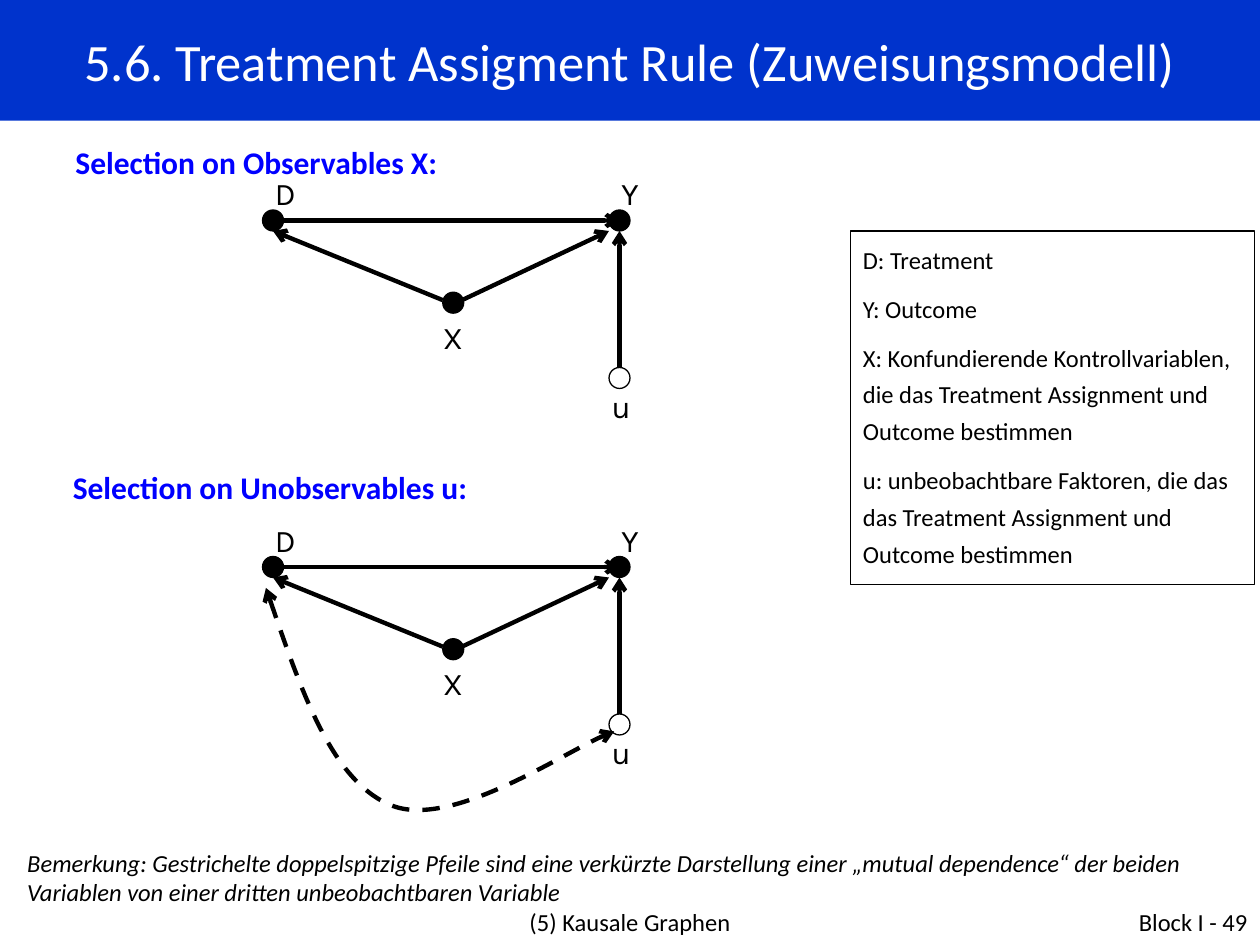
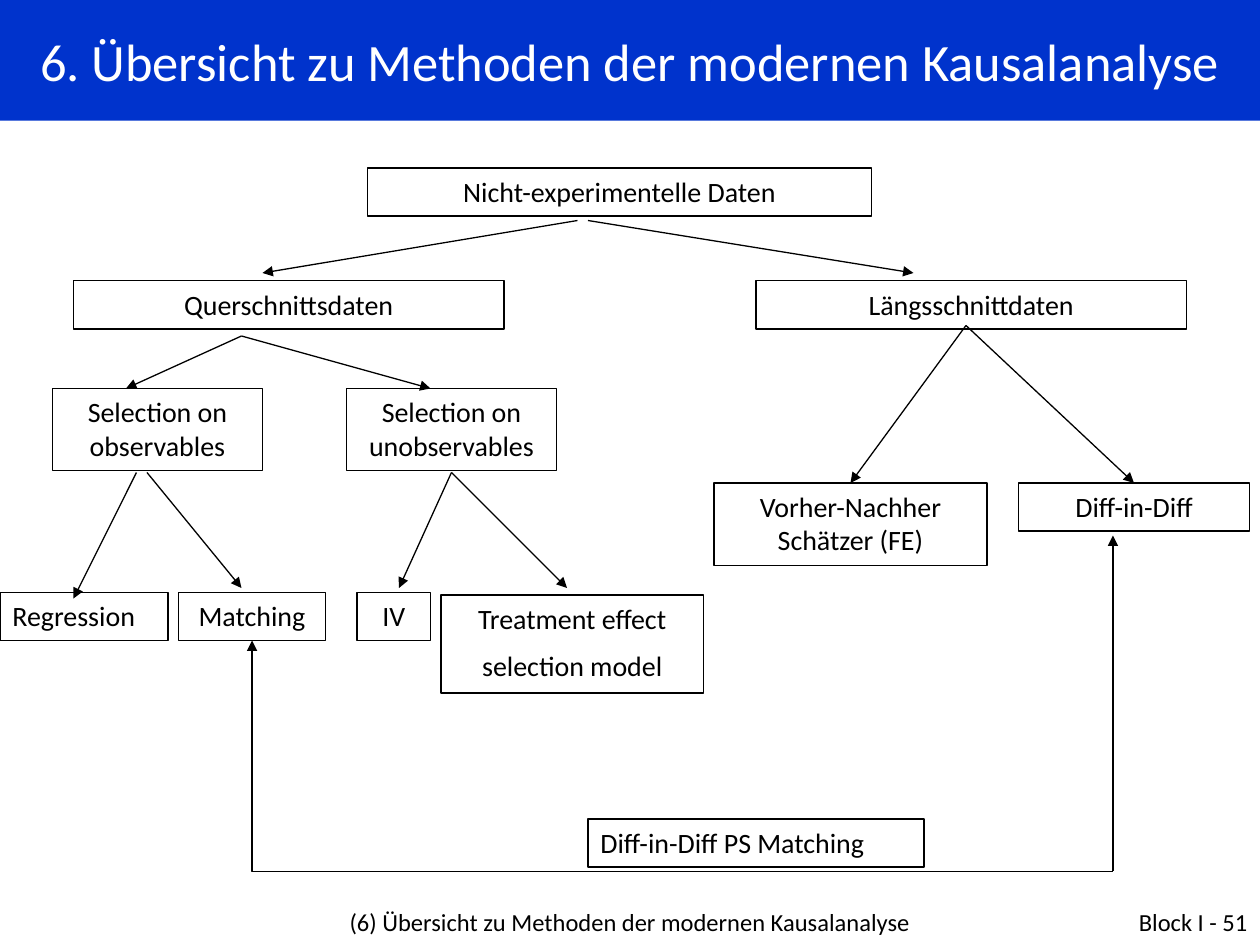
from pptx import Presentation
from pptx.dml.color import RGBColor
from pptx.enum.dml import MSO_LINE
from pptx.enum.shapes import MSO_CONNECTOR, MSO_SHAPE
from pptx.enum.text import MSO_ANCHOR, MSO_AUTO_SIZE, PP_ALIGN
from pptx.oxml.ns import qn
from pptx.util import Pt
from lxml import etree

LEFT, CENTER, RIGHT = PP_ALIGN.LEFT, PP_ALIGN.CENTER, PP_ALIGN.RIGHT
TOP, MIDDLE = MSO_ANCHOR.TOP, MSO_ANCHOR.MIDDLE
STRAIGHT, ELBOW = MSO_CONNECTOR.STRAIGHT, MSO_CONNECTOR.ELBOW
RECTANGLE, OVAL = MSO_SHAPE.RECTANGLE, MSO_SHAPE.OVAL
TITLE_ONLY = 5
TOP_SIDE, BOTTOM_SIDE = 0, 2

COLORS = {"band": "0033CC", "heading": "0000FF", "ink": "000000", "white": "FFFFFF"}
BODY_FONT, LABEL_FONT = "Calibri", "Karla"

# Slide 1: causal graphs, all coordinates in points
GRAPH_TITLE = "5.6. Treatment Assigment Rule (Zuweisungsmodell)"
GRAPH_FOOTER = ("(5) Kausale Graphen", "Block I - 49")
HEADINGS = [
    ("Selection on Observables X:", (36, 78, 564, 29)),
    ("Selection on Unobservables u:", (34.5, 264, 517, 29)),
]
LEGEND = [
    "D: Treatment",
    "Y: Outcome",
    "X: Konfundierende Kontrollvariablen, die das Treatment Assignment und Outcome bestimmen",
    "u: unbeobachtbare Faktoren, die das das Treatment Assignment und Outcome bestimmen",
]
REMARK = (
    "Bemerkung: Gestrichelte doppelspitzige Pfeile sind eine verkürzte Darstellung einer "
    "„mutual dependence“ der beiden Variablen von einer dritten unbeobachtbaren Variable"
)
GRAPH_TOPS = (126, 324)  # height of the D-Y axis in each graph
DOT_SIZE = 12
# name, dot centre, label corner, observed; heights count from the D-Y axis
NODES = [
    ("D", (156, 0), (150, -30), True),
    ("Y", (354, 0), (348, -30), True),
    ("X", (259, 47), (246, 52), True),
    ("u", (354, 90), (342.5, 91.5), False),
]
EDGES = [
    ((156, 0), (354, 0)),
    ((253, 45.5), (156, 6)),
    ((264, 45.5), (348, 6)),
    ((354, 84), (354, 6)),
]
# start, then two control points and an end for each arc
DEPENDENCE_CURVE = [(152, 336), (171, 392), (190, 446), (223, 460),
                    (256, 474), (330, 425), (351, 418)]

# Slide 2: tree of methods
TREE_TITLE = "6. Übersicht zu Methoden der modernen Kausalanalyse"
TREE_FOOTER = ("(6) Übersicht zu Methoden der modernen Kausalanalyse", "Block I - 51")
ONE_LINE, TWO_LINES, TWO_PARAGRAPHS = 27.5, 47, 56
# paragraphs, left, top, width, height, alignment
METHODS = [
    (["Nicht-experimentelle Daten"], 210, 96, 288, ONE_LINE, CENTER),
    (["Querschnittsdaten"], 42, 160.5, 246, ONE_LINE, CENTER),
    (["Längsschnittdaten"], 432, 160.5, 246, ONE_LINE, CENTER),
    (["Selection on observables"], 30, 222, 120, TWO_LINES, CENTER),
    (["Selection on unobservables"], 198, 222, 120, TWO_LINES, CENTER),
    (["Regression"], 0, 338.5, 96, ONE_LINE, LEFT),
    (["Matching"], 102, 338.5, 84, ONE_LINE, CENTER),
    (["IV"], 204, 338.5, 42, ONE_LINE, CENTER),
    (["Treatment effect", "selection model"], 252, 340, 150, TWO_PARAGRAPHS, CENTER),
    (["Vorher-Nachher Schätzer (FE)"], 408, 276, 156, TWO_LINES, CENTER),
    (["Diff-in-Diff"], 582, 276, 132, ONE_LINE, CENTER),
    (["Diff-in-Diff PS Matching"], 336, 468, 192, ONE_LINE, LEFT),
]
BRANCHES = [
    ((330, 126), [(150, 156)]),
    ((336, 126), [(522, 156)]),
    ((138, 192), [(72, 222), (246, 222)]),
    ((78, 270), [(42, 342)]),
    ((84, 270), [(138, 336)]),
    ((258, 270), [(228, 336), (324, 336)]),
    ((552, 186), [(486, 276), (648, 276)]),
    ((636, 498), [(636, 306)]),
]


def color(name):
    return RGBColor.from_string(COLORS[name])


def write_text(shape, paragraphs, size=14, font=BODY_FONT, ink="ink", bold=False,
               italic=False, align=LEFT, anchor=TOP, line_spacing=None):
    frame = shape.text_frame
    frame.auto_size = MSO_AUTO_SIZE.NONE
    frame.word_wrap = True
    frame.vertical_anchor = anchor
    for index, text in enumerate(paragraphs):
        para = frame.add_paragraph() if index else frame.paragraphs[0]
        para.alignment = align
        para.space_before = Pt(size / 2 if index else 0)
        if line_spacing:
            para.line_spacing = line_spacing
        span = para.add_run()
        span.text = text
        span.font.name, span.font.size = font, Pt(size)
        span.font.bold, span.font.italic = bold, italic
        span.font.color.rgb = color(ink)


def add_text(page, bounds, text, **style):
    box = page.shapes.add_textbox(*map(Pt, bounds))
    write_text(box, [text], **style)


def add_outlined(page, kind, bounds, fill=None):
    shape = page.shapes.add_shape(kind, *map(Pt, bounds))
    shape.shadow.inherit = False
    if fill:
        shape.fill.solid()
        shape.fill.fore_color.rgb = color(fill)
    else:
        shape.fill.background()
    shape.line.color.rgb = color("ink")
    shape.line.width = Pt(0.75)
    return shape


def style_line(shape, width, head=None, tail=None, dash=None):
    shape.line.color.rgb = color("ink")
    shape.line.width = Pt(width)
    if dash:
        shape.line.dash_style = dash
    line = shape.line._get_or_add_ln()
    for tag, arrow in (("a:headEnd", head), ("a:tailEnd", tail)):
        if arrow:
            etree.SubElement(line, qn(tag), type=arrow)
    properties = shape.element.spPr
    if properties.find(qn("a:effectLst")) is None:
        etree.SubElement(properties, qn("a:effectLst"))


def add_arrow(page, start, end, width, tail):
    arrow = page.shapes.add_connector(STRAIGHT, *map(Pt, start + end))
    style_line(arrow, width, tail=tail)
    return arrow


def add_page(deck, title, footer):
    page = deck.slides.add_slide(deck.slide_layouts[TITLE_ONLY])
    band = page.shapes.title
    band.left, band.top, band.width, band.height = map(Pt, (0, 0, 720, 69))
    band.fill.solid()
    band.fill.fore_color.rgb = color("band")
    write_text(band, [title], size=30, ink="white", align=CENTER, anchor=MIDDLE)
    chapter, number = footer
    add_text(page, (174, 515, 372, 25), chapter, align=CENTER)
    add_text(page, (552, 515, 168, 25), number, align=RIGHT)
    return page


def add_graph(page, axis):
    for (x1, y1), (x2, y2) in EDGES:
        add_arrow(page, (x1, axis + y1), (x2, axis + y2), 2.5, "arrow")
    for name, (x, y), (label_x, label_y), observed in NODES:
        corner = (x - DOT_SIZE / 2, axis + y - DOT_SIZE / 2)
        add_outlined(page, OVAL, corner + (DOT_SIZE, DOT_SIZE), "ink" if observed else None)
        add_text(page, (label_x, axis + label_y, 36, 29), name, size=18, font=LABEL_FONT)


def add_curve(page, points):
    points = [(Pt(x), Pt(y)) for x, y in points]
    builder = page.shapes.build_freeform(*points[0])
    builder.add_line_segments(points[1:], close=False)
    curve = builder.convert_to_shape()
    curve.shadow.inherit = False
    curve.fill.background()
    style_line(curve, 2.5, "arrow", "arrow", MSO_LINE.DASH)
    # Every three straight steps become one Bézier arc
    steps = list(curve.element.iter(qn("a:lnTo")))
    outline = steps[0].getparent()
    for first in range(0, len(steps), 3):
        arc = etree.SubElement(outline, qn("a:cubicBezTo"))
        for step in steps[first:first + 3]:
            arc.append(step[0])
            outline.remove(step)


def add_graph_page(deck):
    page = add_page(deck, GRAPH_TITLE, GRAPH_FOOTER)
    for text, bounds in HEADINGS:
        add_text(page, bounds, text, size=18, ink="heading", bold=True)
    legend = add_outlined(page, RECTANGLE, (486, 132, 231, 202))
    write_text(legend, LEGEND, line_spacing=1.25)
    add_text(page, (8.5, 481, 706, 41), REMARK, italic=True)
    for axis in GRAPH_TOPS:
        add_graph(page, axis)
    add_curve(page, DEPENDENCE_CURVE)


def add_tree_page(deck):
    page = add_page(deck, TREE_TITLE, TREE_FOOTER)
    boxes, top_middles = {}, {}
    for paragraphs, left, top, width, height, align in METHODS:
        box = add_outlined(page, RECTANGLE, (left, top, width, height))
        write_text(box, paragraphs, size=16, align=align)
        boxes[paragraphs[0]] = box
        top_middles[left + width / 2, top] = box

    for start, ends in BRANCHES:
        for end in ends:
            arrow = add_arrow(page, start, end, 0.75, "triangle")
            if end in top_middles:
                arrow.end_connect(top_middles[end], TOP_SIDE)

    # One-bend link from Matching down and across to the Diff-in-Diff arrow
    x1, y1, x2, y2 = 144, 366, 636, 498
    link = page.shapes.add_connector(ELBOW, *map(Pt, (x1, y1, x2, y2)))
    link.begin_connect(boxes["Matching"], BOTTOM_SIDE)
    style_line(link, 0.75, head="triangle")
    width, height = y2 - y1, x2 - x1  # sides swap under the quarter turn
    link.left, link.top = Pt((x1 + x2 - width) / 2), Pt((y1 + y2 - height) / 2)
    link.width, link.height = Pt(width), Pt(height)
    properties = link.element.spPr
    properties.find(qn("a:prstGeom")).set("prst", "bentConnector2")
    frame = properties.find(qn("a:xfrm"))
    frame.set("rot", str(270 * 60000))
    frame.set("flipH", "1")


def main():
    deck = Presentation()
    deck.slide_width, deck.slide_height = Pt(720), Pt(540)
    add_graph_page(deck)
    add_tree_page(deck)
    deck.save("out.pptx")


if __name__ == "__main__":
    main()
